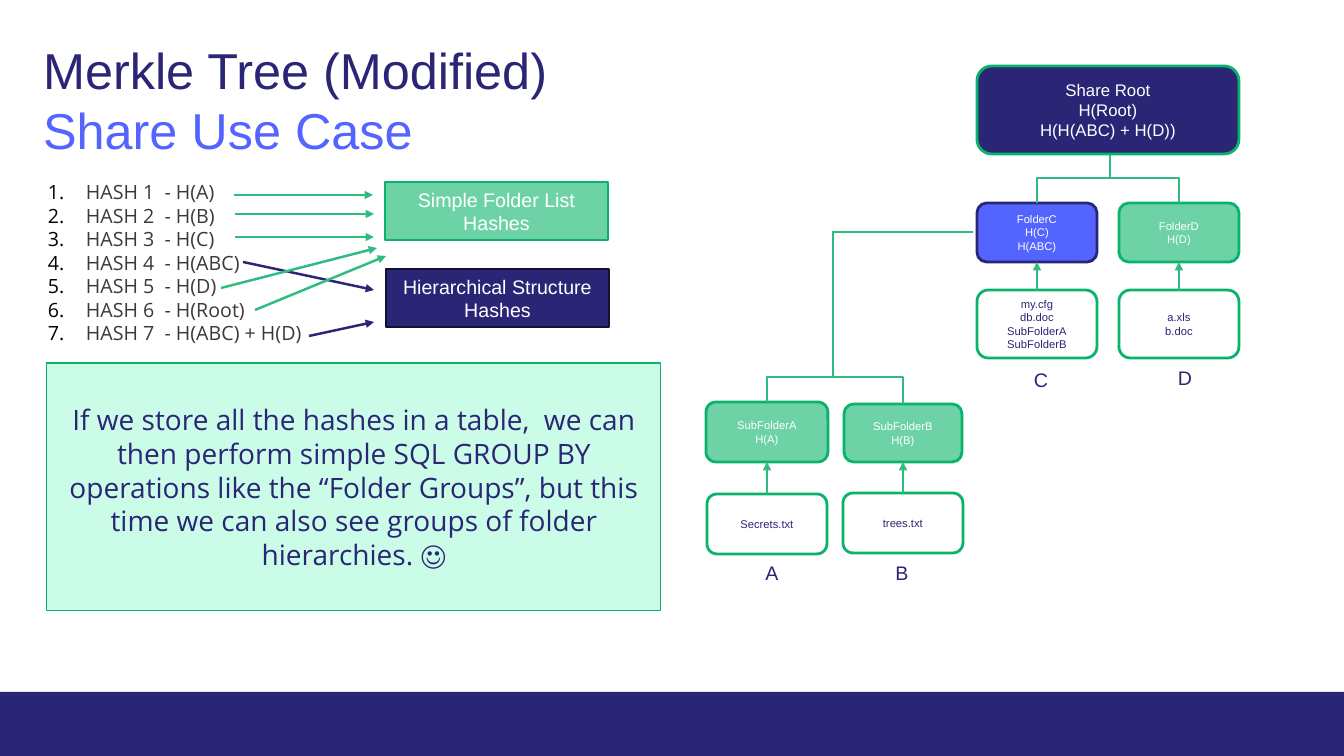
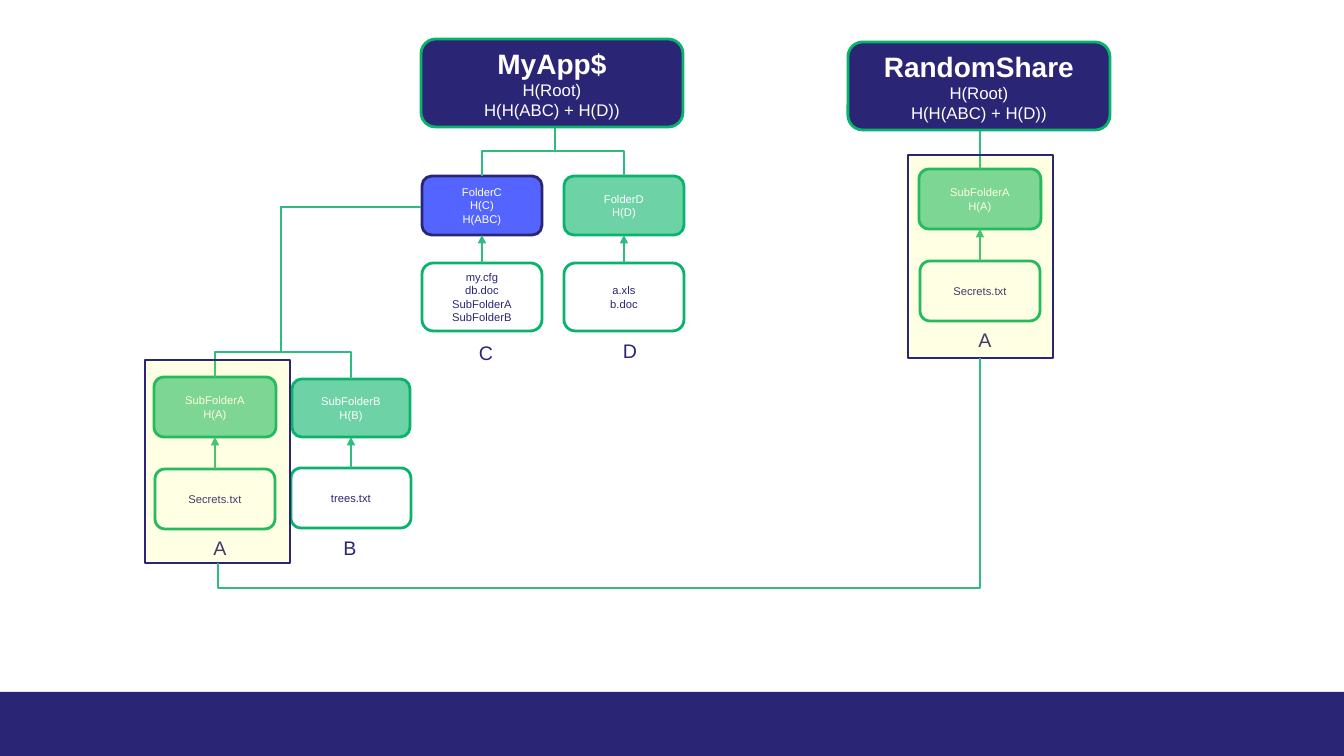
"""Build two slides that explain a modified Merkle tree over file shares."""
from lxml.etree import SubElement
from pptx import Presentation
from pptx.dml.color import RGBColor
from pptx.enum.shapes import MSO_CONNECTOR as LINK, MSO_SHAPE as SHAPE
from pptx.enum.text import MSO_ANCHOR as ANCHOR, MSO_AUTO_SIZE as AUTO, PP_ALIGN as ALIGN
from pptx.oxml.ns import qn
from pptx.util import Pt

PX = 914400 / 100.8
NAVY, BLUE, GREEN, LINE_GREEN = "2B2576", "5465FF", "09B36B", "2EBC81"
WHITE, DARK_NAVY, GREY = "FFFFFF", "131034", "3D3935"
hex_color = RGBColor.from_string


def box(slide, rect, text="", fill=None, alpha=100, outline=GREEN, width=2, size=8,
        color=WHITE, font="Arial", preset=SHAPE.ROUNDED_RECTANGLE, align=ALIGN.CENTER):
    """Add a filled shape, or a plain text box when there is no fill."""
    place = [round(v * PX) for v in rect]
    if fill:
        shape = slide.shapes.add_shape(preset, *place)
        shape.shadow.inherit = False
        shape.fill.solid()
        shape.fill.fore_color.rgb = hex_color(fill)
        tint = shape.element.spPr.find(".//" + qn("a:srgbClr"))
        SubElement(tint, qn("a:alpha"), val=str(alpha * 1000))
        shape.line.color.rgb = hex_color(outline)
        shape.line.width = Pt(width)
    else:
        shape = slide.shapes.add_textbox(*place)
    frame = shape.text_frame
    frame.word_wrap = True
    frame.vertical_anchor = ANCHOR.MIDDLE if fill else ANCHOR.TOP
    frame.text = text
    for paragraph in frame.paragraphs:
        paragraph.alignment = align
        for run in paragraph.runs:
            run.font.name, run.font.size = font, Pt(size)
            run.font.color.rgb = hex_color(color)
    return shape


def link(slide, start, end, color=LINE_GREEN, width=2, arrow=False, bend=None):
    """Add a straight line, or a down-across-down elbow that turns at height bend."""
    (x1, y1), (x2, y2) = start, end
    kind, corners = LINK.STRAIGHT, (x1, y1, x2, y2)
    if bend:
        mid_x, mid_y = (x1 + x2) / 2, (y1 + y2) / 2
        half_w, half_h = (y2 - y1) / 2, abs(x2 - x1) / 2
        kind = LINK.ELBOW
        corners = (mid_x - half_w, mid_y - half_h, mid_x + half_w, mid_y + half_h)
    connector = slide.shapes.add_connector(kind, *[round(v * PX) for v in corners])
    connector.line.color.rgb = hex_color(color)
    connector.line.width = Pt(width)
    props = connector.element.spPr
    if bend:
        frame = props.find(qn("a:xfrm"))
        frame.set("rot", "16200000" if x2 > x1 else "5400000")
        if x2 > x1:
            frame.set("flipH", "1")
        turn = round((bend - y1) / (y2 - y1) * 100000)
        guides = props.find(".//" + qn("a:avLst"))
        SubElement(guides, qn("a:gd"), name="adj1", fmla=f"val {turn}")
    if arrow:
        SubElement(props.find(qn("a:ln")), qn("a:tailEnd"), type="triangle")
    SubElement(props, qn("a:effectLst"))


prs = Presentation()
prs.slide_width, prs.slide_height = round(1344 * PX), round(756 * PX)
use_case = prs.slides.add_slide(prs.slide_layouts[5])
shares = prs.slides.add_slide(prs.slide_layouts[6])

band = box(use_case, (0, 692, 1344, 64), fill=NAVY, preset=SHAPE.RECTANGLE)
band.line.fill.background()
prs.slide_master.shapes.element.insert(2, band.element)

title = use_case.shapes.title
title.left, title.top, title.width, title.height = [round(v * PX) for v in (33, 34, 629, 132)]
title.text_frame.text = "Merkle Tree (Modified)\nShare Use Case"
title.text_frame.auto_size = AUTO.NONE
title.text_frame.vertical_anchor = ANCHOR.TOP
for paragraph, color in zip(title.text_frame.paragraphs, (NAVY, BLUE)):
    paragraph.alignment = ALIGN.LEFT
    paragraph.font.name, paragraph.font.size = "Arial", Pt(36)
    paragraph.font.color.rgb = hex_color(color)

hashes = ("H(A)", "H(B)", "H(C)", "H(ABC)", "H(D)", "H(Root)", "H(ABC) + H(D)")
hash_text = "\n".join(f"HASH {n}  - {name}" for n, name in enumerate(hashes, 1))
hash_list = box(use_case, (38, 175, 502, 180), hash_text, size=14, color=GREY,
                font="Open Sans", align=ALIGN.LEFT)
for props in hash_list.element.iter(qn("a:pPr")):
    props.set("marL", str(round(38 * PX)))
    props.set("indent", str(round(-38 * PX)))
    SubElement(SubElement(props, qn("a:buClr")), qn("a:srgbClr"), val="000000")
    SubElement(props, qn("a:buFont"), typeface="Open Sans")
    SubElement(props, qn("a:buAutoNum"), type="arabicPeriod")

box(use_case, (385, 182, 223, 58), "Simple Folder List\nHashes", GREEN, 59, size=14,
    preset=SHAPE.RECTANGLE)
box(use_case, (386, 269, 223, 58), "Hierarchical Structure\nHashes", NAVY,
    outline=DARK_NAVY, size=14, preset=SHAPE.RECTANGLE)
for start, end, color in (
    ((234, 195), (373, 195), LINE_GREEN),
    ((235, 214), (374, 214), LINE_GREEN),
    ((235, 237), (374, 237), LINE_GREEN),
    ((243, 262), (374, 290), NAVY),
    ((221, 288), (377, 248), LINE_GREEN),
    ((255, 310), (386, 256), LINE_GREEN),
    ((309, 336), (374, 322), NAVY),
):
    link(use_case, start, end, color, 1.75, arrow=True)

box(use_case, (47, 363, 614, 248),
    "If we store all the hashes in a table,  we can then perform simple SQL GROUP BY "
    "operations like the “Folder Groups”, but this time we can also see groups of "
    "folder hierarchies. ☺",
    "36F5A4", 26, width=0.75, size=20, color=NAVY, font="Open Sans", preset=SHAPE.RECTANGLE)

branches = {
    "A": ((706, 402, 122, 60), "SubFolderA\nH(A)", (707, 494, 120, 60), "Secrets.txt", (706, 556)),
    "B": ((844, 404, 118, 58), "SubFolderB\nH(B)", (843, 493, 120, 60), "trees.txt", (836, 556)),
    "C": ((977, 203, 120, 59), "FolderC\nH(C)\nH(ABC)", (977, 290, 120, 68),
          "my.cfg\ndb.doc\nSubFolderA\nSubFolderB", (975, 363)),
    "D": ((1119, 203, 120, 59), "FolderD\nH(D)", (1119, 290, 120, 68), "a.xls\nb.doc", (1119, 361)),
}
tree_shift, subtree_shift, random_shift = (-555, -27), (-552, -25), (213, -233)
for slide, names, (dx, dy) in (
    (use_case, "ABCD", (0, 0)),
    (shares, "CD", tree_shift),
    (shares, "AB", subtree_shift),
    (shares, "A", random_shift),
):
    for name in names:
        (fx, fy, fw, fh), folder, (cx, cy, cw, ch), files, (lx, ly) = branches[name]
        fill, alpha, outline = (BLUE, 100, NAVY) if name == "C" else (GREEN, 59, GREEN)
        box(slide, (fx + dx, fy + dy, fw, fh), folder, fill, alpha, outline)
        box(slide, (cx + dx, cy + dy, cw, ch), files, WHITE, 59, color=NAVY)
        box(slide, (lx + dx, ly + dy, 132, 34), name, size=14, color=NAVY)
        link(slide, (cx + cw / 2 + dx, cy + dy), (fx + fw / 2 + dx, fy + fh + dy), arrow=True)

for slide, (dx, dy), (sx, sy) in (
    (use_case, (0, 0), (0, 0)),
    (shares, tree_shift, subtree_shift),
):
    for child_x in (1037, 1179):
        link(slide, (1110 + dx, 154 + dy), (child_x + dx, 203 + dy), bend=178 + dy)
    for child_x, child_y in ((767, 402), (903, 404)):
        link(slide, (833 + sx, 352 + sy), (child_x + sx, child_y + sy), bend=377 + sy)
    link(slide, (973 + sx, 232 + sy), (832 + sx, 232 + sy))
    link(slide, (833 + sx, 231 + sy), (833 + sx, 377 + sy))

link(shares, (980, 130), (980, 169))
for slide, left, top, share, name_size in (
    (use_case, 977, 66, "Share Root", 12),
    (shares, 421, 39, "MyApp$", 20),
    (shares, 848, 42, "RandomShare", 20),
):
    root = box(slide, (left, top, 262, 88), f"{share}\nH(Root)\nH(H(ABC) + H(D))", NAVY, size=12)
    share_font = root.text_frame.paragraphs[0].runs[0].font
    share_font.size, share_font.bold = Pt(name_size), name_size > 12

for left, top in ((145, 360), (908, 155)):
    box(shares, (left, top, 145, 203), fill="FFFF00", alpha=11, outline=NAVY,
        preset=SHAPE.RECTANGLE)
link(shares, (980, 358), (218, 563), bend=588)

prs.save("out.pptx")
